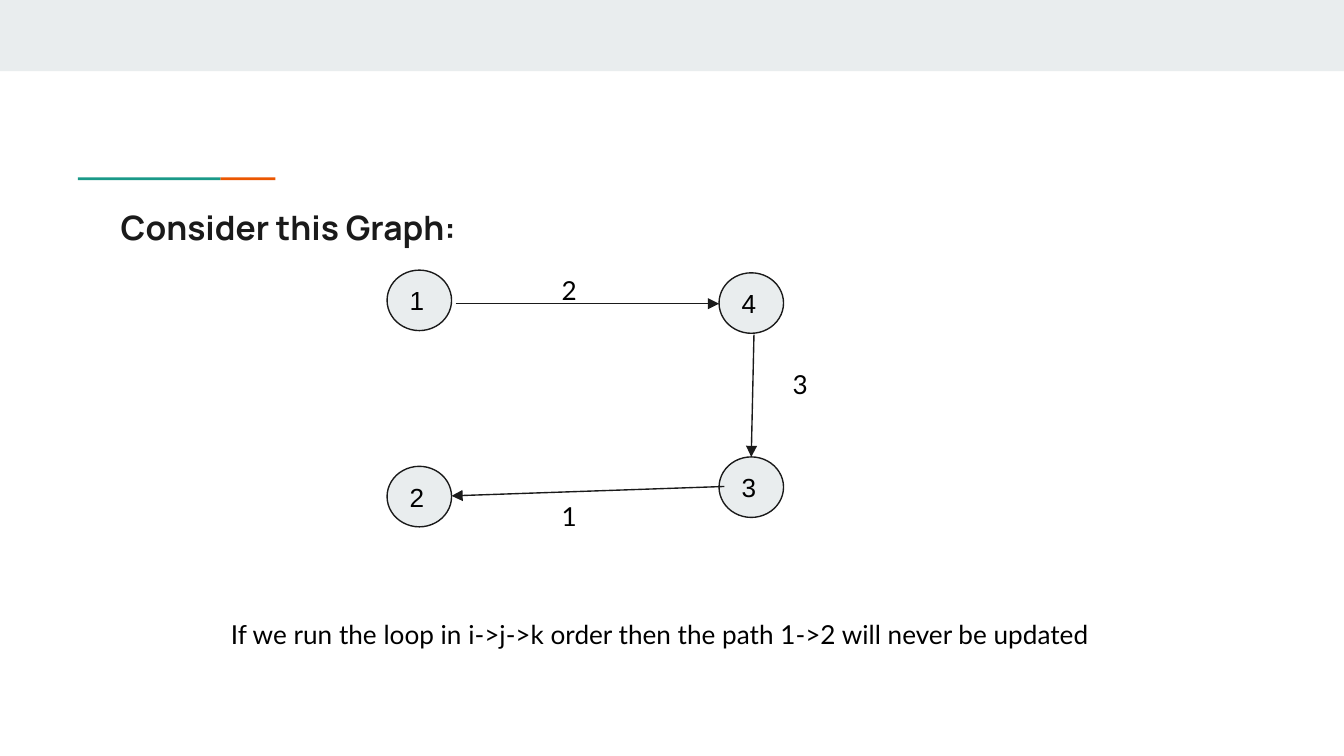
from pptx import Presentation
from pptx.dml.color import RGBColor
from pptx.enum.shapes import MSO_CONNECTOR, MSO_SHAPE
from pptx.enum.text import MSO_ANCHOR, PP_ALIGN
from pptx.oxml.ns import qn
from pptx.util import Inches, Pt
from lxml.etree import SubElement

PALE = RGBColor(0xE9, 0xED, 0xEE)
ORANGE = RGBColor(0xEB, 0x56, 0x00)
TEAL = RGBColor(0x1A, 0x99, 0x88)
INK = RGBColor(0x1A, 0x1A, 0x1A)
BLACK = RGBColor(0, 0, 0)

SLIDE_W = 10
SLIDE_H = SLIDE_W * 9 / 16
NODE_W, NODE_H = 0.48, 0.45
NODES = [("2", 2.88, 3.47), ("3", 5.35, 3.4), ("4", 5.35, 2.03), ("1", 2.88, 2.01)]
EDGES = [(3.39, 2.26, 5.35, 2.26), (5.61, 2.49, 5.59, 3.4), (5.39, 3.62, 3.36, 3.69)]
WEIGHTS = [("2", 4.08, 1.94), ("3", 5.8, 2.64), ("1", 4.08, 3.62)]


def write(shape, text, font, size=14, color=BLACK, bold=False, anchor=MSO_ANCHOR.TOP):
    tf = shape.text_frame
    tf.word_wrap = True
    tf.vertical_anchor = anchor
    tf.margin_left = tf.margin_right = tf.margin_top = tf.margin_bottom = Inches(0.1)
    tf.text = text
    p = tf.paragraphs[0]
    p.alignment = PP_ALIGN.LEFT
    f = p.runs[0].font
    f.name, f.size, f.bold = font, Pt(size), bold
    f.color.rgb = color


def add_filled(s, kind, x, y, w, h, fill):
    sp = s.shapes.add_shape(kind, Inches(x), Inches(y), Inches(w), Inches(h))
    sp.shadow.inherit = False
    sp.fill.solid()
    sp.fill.fore_color.rgb = fill
    sp.line.fill.background()
    return sp


def add_text(s, text, x, y, w, h, font="Lato", **style):
    box = s.shapes.add_textbox(Inches(x), Inches(y), Inches(w), Inches(h))
    write(box, text, font, **style)


def add_node(s, name, x, y):
    sp = add_filled(s, MSO_SHAPE.OVAL, x, y, NODE_W, NODE_H, PALE)
    sp.line.color.rgb = INK
    sp.line.width = Pt(0.75)
    write(sp, name, "Arial", anchor=MSO_ANCHOR.MIDDLE)


def add_edge(s, x1, y1, x2, y2):
    edge = s.shapes.add_connector(
        MSO_CONNECTOR.STRAIGHT, Inches(x1), Inches(y1), Inches(x2), Inches(y2))
    edge.line.color.rgb = INK
    edge.line.width = Pt(0.75)
    sp_pr = edge._element.spPr
    SubElement(sp_pr.find(qn("a:ln")), qn("a:tailEnd"), type="triangle")
    SubElement(sp_pr, qn("a:effectLst"))


def main():
    prs = Presentation()
    prs.slide_width, prs.slide_height = Inches(SLIDE_W), Inches(SLIDE_H)
    s = prs.slides.add_slide(prs.slide_layouts[6])

    # Top band and two-colour rule
    add_filled(s, MSO_SHAPE.RECTANGLE, 0, 0, SLIDE_W, 0.53, PALE)
    add_filled(s, MSO_SHAPE.RECTANGLE, 1.64, 1.32, 0.41, 0.02, ORANGE)
    add_filled(s, MSO_SHAPE.RECTANGLE, 0.58, 1.32, 1.06, 0.02, TEAL)

    # Title
    add_text(s, "Consider this Graph:", 0.8, 1.44, 8.41, 0.59,
             font="Manrope", size=18, color=INK, bold=True)

    # Graph: nodes, directed edges, weights
    for node in NODES:
        add_node(s, *node)
    for edge in EDGES:
        add_edge(s, *edge)
    for weight, x, y in WEIGHTS:
        add_text(s, weight, x, y, 0.35, 0.45)

    # Conclusion
    add_text(s, "If we run the loop in i->j->k order then the path 1->2 will never be updated",
             1.62, 4.5, 6.64, 0.79)

    prs.save("out.pptx")


if __name__ == "__main__":
    main()
